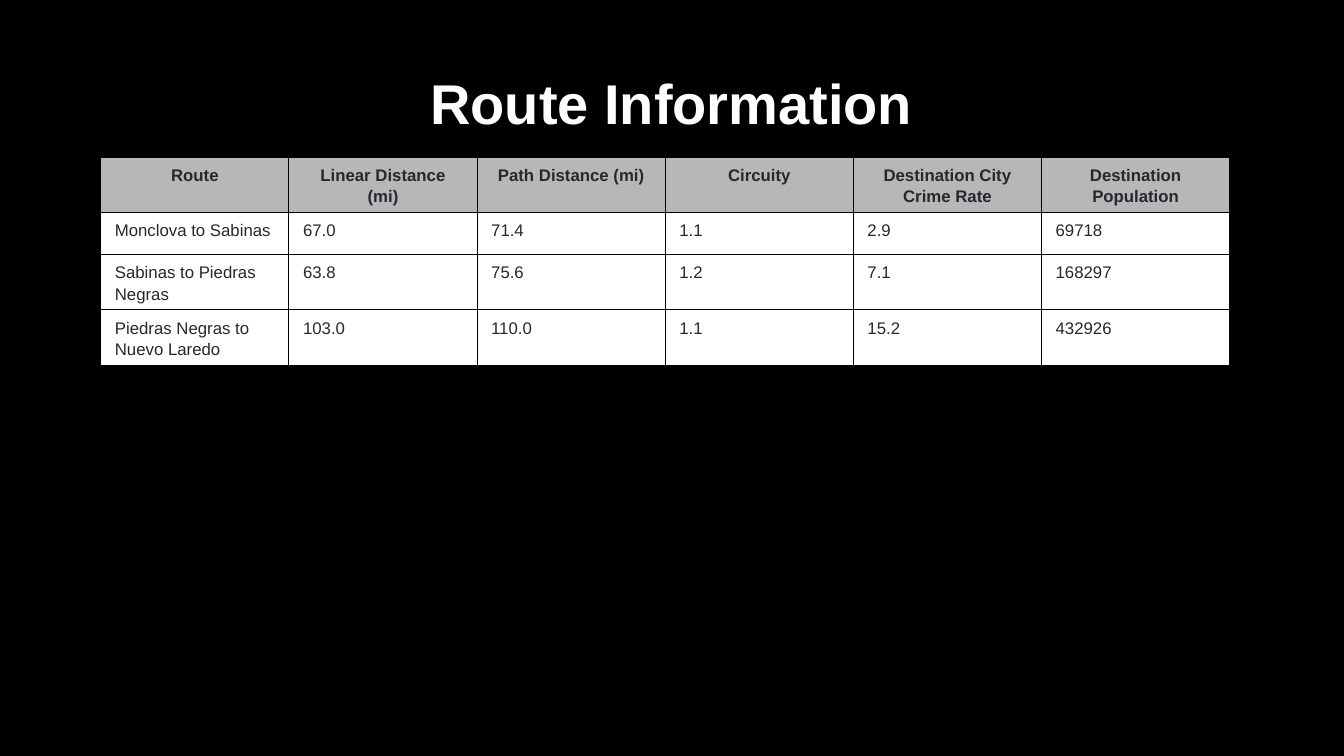
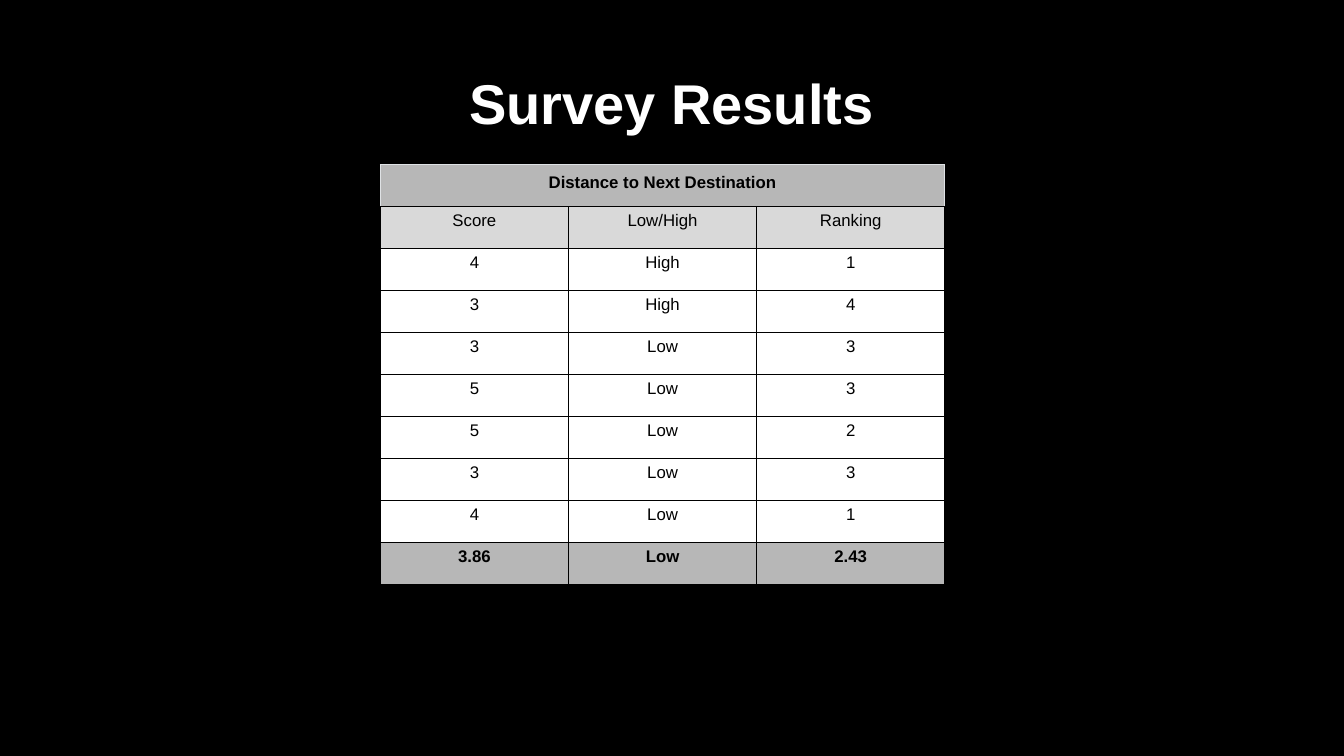
"""Build two dark slides with tables of route facts and survey scores."""
from lxml import etree
from pptx import Presentation
from pptx import util as u
from pptx.dml.color import RGBColor
from pptx.enum import text
from pptx.oxml import ns

COLORS = {"night": "000000", "paper": "FFFFFF", "ink": "24292E",
          "band": "B7B7B7", "subband": "D9D9D9", "rim": "DFE2E5"}
CENTER, LEFT = text.PP_ALIGN.CENTER, text.PP_ALIGN.LEFT

deck = Presentation()
deck.slide_width, deck.slide_height = u.Inches(13.33), u.Inches(7.5)
W, H = deck.slide_width, deck.slide_height
COLUMN, ROW = int(W * 0.14), int(H / 18)


def write(frame, words, align, font, spacing):
    """Put words in a text frame with the given font and paragraph values."""
    frame.text = words
    paragraph = frame.paragraphs[0]
    paragraph.alignment = align
    for name, value in spacing.items():
        setattr(paragraph, name, value)
    run_font = paragraph.runs[0].font
    run_font.name = "Arial"
    run_font.color.rgb = RGBColor.from_string(COLORS[font["color"]])
    for name in ("size", "bold"):
        setattr(run_font, name, font[name])


def draw_borders(cell, edges):
    """Draw thin cell borders, given as a colour name for each edge."""
    properties = cell._tc.get_or_add_tcPr()
    for place, (edge, color) in enumerate(edges.items()):
        line = etree.Element(ns.qn(f"a:ln{edge}"), w=str(u.Pt(0.75)))
        fill = etree.SubElement(line, ns.qn("a:solidFill"))
        etree.SubElement(fill, ns.qn("a:srgbClr"), val=COLORS[color])
        properties.insert(place, line)


layout = deck.slide_layouts.get_by_name("Title Only")
layout.background.fill.solid()
layout.background.fill.fore_color.rgb = RGBColor.from_string(COLORS["night"])
heading = layout.placeholders[0]
heading.left, heading.top = int(W * 0.075), int(H * 0.044)
heading.width, heading.height = int(W * 0.849), int(H * 0.193)

roomy = {"margins": (0.14, 0.06), "after": 12}
tight = {"margins": (0.03, 0.02), "after": 0}
black_edges = dict.fromkeys("LRTB", "night")
rim_edges = {"L": "rim", "R": "rim", "T": "rim", "B": "night"}

route_head = {**roomy, "fill": "band", "color": "ink", "bold": True, "align": CENTER}
route_body = {**roomy, "fill": "paper", "color": "ink", "bold": False, "align": LEFT}
survey_head = {**roomy, "fill": "band", "color": "night", "bold": True,
               "align": CENTER, "edges": rim_edges}
survey_body = {**tight, "fill": "paper", "color": "night", "bold": False, "align": CENTER}
survey_labels = {**survey_body, "fill": "subband"}
survey_total = {**survey_body, "fill": "band", "bold": True}

routes = [
    (route_head, ["Route", "Linear Distance (mi)", "Path Distance (mi)", "Circuity",
                  "Destination City Crime Rate", "Destination Population"]),
    (route_body, ["Monclova to Sabinas", "67.0", "71.4", "1.1", "2.9", "69718"]),
    (route_body, ["Sabinas to Piedras Negras", "63.8", "75.6", "1.2", "7.1", "168297"]),
    (route_body, ["Piedras Negras to Nuevo Laredo", "103.0", "110.0", "1.1", "15.2", "432926"]),
]
scores = [("4", "High", "1"), ("3", "High", "4"), ("3", "Low", "3"), ("5", "Low", "3"),
          ("5", "Low", "2"), ("3", "Low", "3"), ("4", "Low", "1")]
survey = [
    (survey_head, ["Distance to Next Destination", "", ""]),
    (survey_labels, ["Score", "Low/High", "Ranking"]),
    *[(survey_body, score) for score in scores],
    (survey_total, ["3.86", "Low", "2.43"]),
]

pages = [("Route Information", routes, 0.075, 0.208),
         ("Survey Results", survey, 0.283, 0.218)]

for title, rows, left, top in pages:
    slide = deck.slides.add_slide(layout)
    write(slide.shapes.title.text_frame, title, CENTER,
          {"size": u.Pt(40), "bold": True, "color": "paper"}, {"line_spacing": 0.9})
    column_count = len(rows[0][1])
    table = slide.shapes.add_table(len(rows), column_count, int(W * left), int(H * top),
                                   COLUMN * column_count, ROW * len(rows)).table
    table.first_row = table.horz_banding = False
    for r, (style, entries) in enumerate(rows):
        side, end = (u.Inches(margin) for margin in style["margins"])
        margins = {"margin_left": side, "margin_right": side,
                   "margin_top": end, "margin_bottom": end}
        for c, words in enumerate(entries):
            cell = table.cell(r, c)
            for name, value in margins.items():
                setattr(cell, name, value)
            cell.fill.solid()
            cell.fill.fore_color.rgb = RGBColor.from_string(COLORS[style["fill"]])
            draw_borders(cell, style.get("edges", black_edges))
            if words:
                write(cell.text_frame, words, style["align"],
                      {"size": u.Pt(12), "bold": style["bold"], "color": style["color"]},
                      {"line_spacing": 1.15, "space_after": u.Pt(style["after"])})
        if "" in entries:
            table.cell(r, 0).merge(table.cell(r, column_count - 1))

deck.save("out.pptx")
